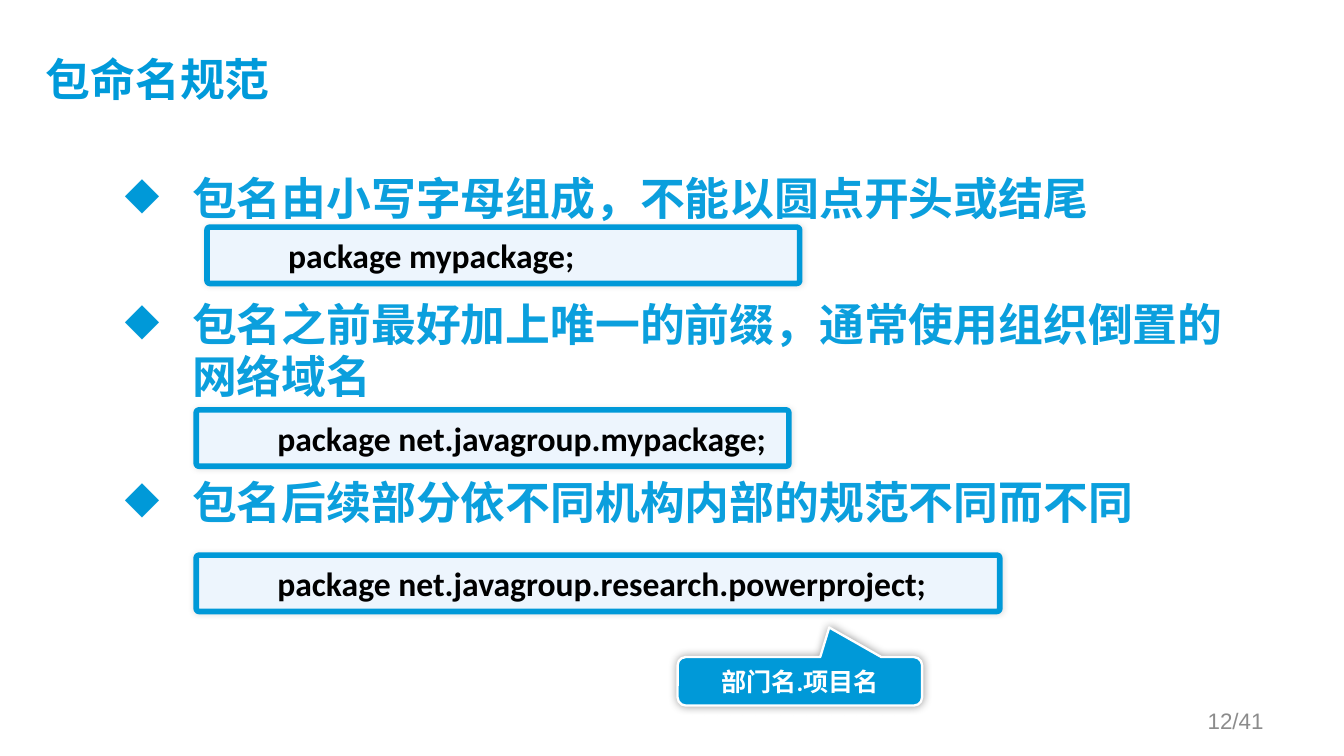
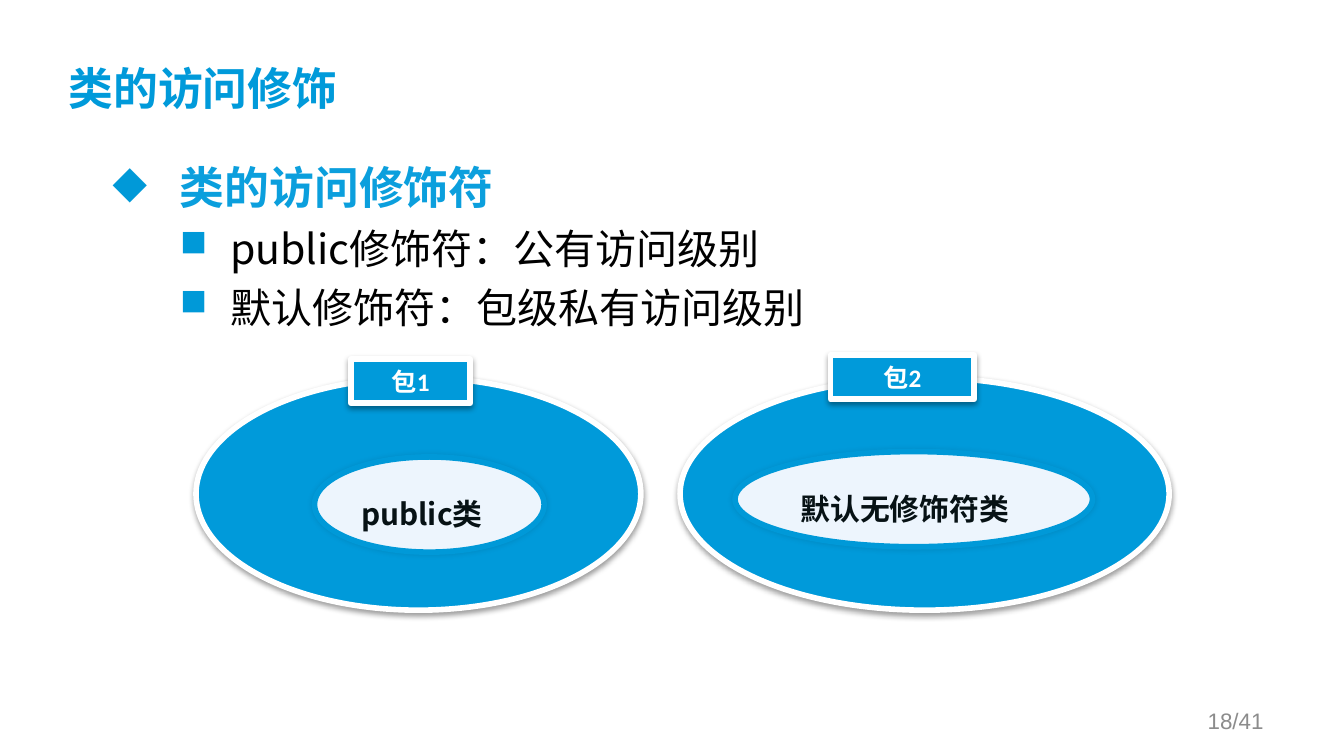
from lxml import etree
from pptx import Presentation
from pptx.dml.color import RGBColor
from pptx.enum import shapes, text
from pptx.oxml import ns
from pptx.util import Pt

COLORS = {
    "title": "009ADA",
    "heading": "0B9FDD",
    "accent": "0099D8",
    "pale": "EDF5FD",
    "white": "FFFFFF",
    "black": "000000",
    "ink": "071215",
    "grey": "8C8C8C",
}
CJK = "Noto Sans CJK SC"
LATIN = "Calibri"
SHAPE = shapes.MSO_SHAPE
ALIGN = text.PP_ALIGN
ANCHOR = text.MSO_ANCHOR

# Opacity in percent, blur and distance in points, direction in degrees
GLOW = (10, 3, 0, 0)
DROP = (38, 3.1, 1.6, 90)
CALLOUT_GLOW = (40, 5, 0, 0)

# Text size, line pitch, left margin, first-line indent, format of each body level
LEVELS = [
    dict(size=24, spacing=Pt(28), margin=36, indent=-36, bullet="◆",
         color="heading", bold=True),
    dict(size=22, spacing=Pt(27), margin=63, indent=-27, bullet="■",
         bullet_size=90, color="black", level=1),
]


def rgb(name):
    return RGBColor.from_string(COLORS[name])


def sub(parent, tag, **attrs):
    el = etree.SubElement(parent, ns.qn(tag))
    for key, value in attrs.items():
        el.set(key, str(value))
    return el


def add_text(tf, words, size, color, font=CJK, bold=False, align=ALIGN.LEFT,
             level=0, margin=0, indent=0, bullet=None, bullet_size=100,
             before=0, spacing=None):
    """Write one paragraph, filling the empty first one if there is one."""
    p = tf.add_paragraph() if tf.text else tf.paragraphs[0]
    p.alignment, p.level = align, level
    p.space_before = Pt(before)
    if spacing:
        p.line_spacing = spacing
    pPr = p._p.get_or_add_pPr()
    pPr.set("marL", str(Pt(margin)))
    pPr.set("indent", str(Pt(indent)))
    if bullet:
        sub(sub(pPr, "a:buClr"), "a:srgbClr", val=COLORS["accent"])
        sub(pPr, "a:buSzPct", val=bullet_size * 1000)
        sub(pPr, "a:buChar", char=bullet)
    r = p.add_run()
    r.text = words
    r.font.size, r.font.bold, r.font.name = Pt(size), bold, font
    r.font.color.rgb = rgb(color)
    sub(r._r.get_or_add_rPr(), "a:ea", typeface=CJK)


def add_box(slide, box, anchor=ANCHOR.TOP, insets=(7.2, 3.6, 7.2, 3.6)):
    tf = slide.shapes.add_textbox(*map(Pt, box)).text_frame
    tf.word_wrap = True
    tf.vertical_anchor = anchor
    tf.margin_left, tf.margin_top, tf.margin_right, tf.margin_bottom = map(Pt, insets)
    return tf


def add_figure(parent, kind, box, fill, line, width, shadow, adjust=()):
    sp = parent.shapes.add_shape(kind, *map(Pt, box))
    for i, value in enumerate(adjust):
        sp.adjustments[i] = value
    sp.fill.solid()
    sp.fill.fore_color.rgb = rgb(fill)
    sp.line.color.rgb = rgb(line)
    sp.line.width = Pt(width)
    sp.shadow.inherit = False
    alpha, blur, dist, angle = shadow
    effects = sp._element.spPr.find(ns.qn("a:effectLst"))
    outer = sub(effects, "a:outerShdw", blurRad=Pt(blur), dist=Pt(dist),
                dir=angle * 60000, algn="ctr", rotWithShape=0)
    sub(sub(outer, "a:srgbClr", val=COLORS["black"]), "a:alpha", val=alpha * 1000)
    tf = sp.text_frame
    tf.word_wrap = True
    tf.vertical_anchor = ANCHOR.MIDDLE
    return tf


def add_frame(prs, title, left, top, page):
    """Add a slide with its title and page number."""
    slide = prs.slides.add_slide(prs.slide_layouts[6])
    tf = add_box(slide, (left, top, 648, 67.7), ANCHOR.MIDDLE, (0, 0, 7.2, 3.6))
    add_text(tf, title, 24, "title", bold=True)
    tf = add_box(slide, (516, 375, 168, 21.6), ANCHOR.MIDDLE)
    add_text(tf, f"{page}/41", 12, "grey", font="Arial", align=ALIGN.RIGHT)
    return slide


def add_body(slide, left, top, items, gap):
    """Write (level, words) items; gap is the space before all but the first."""
    tf = add_box(slide, (left, top, 611, 267), insets=(7.2, 6.6, 7.2, 3.6))
    for i, (level, words) in enumerate(items):
        add_text(tf, words, before=gap if i else 0, **LEVELS[level])


def add_code(slide, left, top, width, code):
    tf = add_figure(slide, SHAPE.ROUNDED_RECTANGLE, (left, top, width, 30.2),
                    "pale", "accent", 3, GLOW, [0.05])
    add_text(tf, code, 18, "black", font=LATIN, bold=True, level=1, margin=36)


def add_label(tf, words):
    add_text(tf, words, 13.5, "white", font=LATIN, bold=True, align=ALIGN.CENTER)


def add_package(slide, box, name, tab, class_name, inner):
    """Draw a package; tab and inner are (x offset, y offset, width)."""
    left, top = box[:2]

    def place(part, height):
        dx, dy, width = part
        return left + dx, top + dy, width, height

    group = slide.shapes.add_group_shape()
    add_figure_in = GroupTarget(group.shapes)
    add_figure(add_figure_in, SHAPE.OVAL, box, "title", "white", 3, DROP)
    tf = add_figure(add_figure_in, SHAPE.OVAL, place(inner, 51),
                    "pale", "accent", 3, GLOW)
    add_text(tf, class_name, 16, "ink", bold=True, spacing=1.5)
    tf = add_figure(add_figure_in, SHAPE.RECTANGLE, place(tab, 23.8),
                    "title", "white", 3, DROP)
    add_label(tf, name)


class GroupTarget:
    """Lets figures be added to a group as they are to a slide."""

    def __init__(self, group_shapes):
        self.shapes = group_shapes


def naming_slide(prs):
    slide = add_frame(prs, "包命名规范", 24.5, 10, 12)
    add_body(slide, 59.8, 85.7, [
        (0, "包名由小写字母组成，不能以圆点开头或结尾"),
        (0, "包名之前最好加上唯一的前缀，通常使用组织倒置的网络域名"),
        (0, "包名后续部分依不同机构内部的规范不同而不同"),
    ], gap=39.5)
    tf = add_figure(slide, SHAPE.ROUNDED_RECTANGULAR_CALLOUT, (363, 352, 131, 26),
                    "accent", "white", 1.25, CALLOUT_GLOW, [0.12, -1.11, 0.17])
    add_label(tf, "部门名.项目名")
    for left, top, width, code in [
        (110.9, 121.7, 317.5, "package mypackage;"),
        (105.1, 219.6, 317.5, "package net.javagroup.mypackage;"),
        (105.1, 297.4, 430.5, "package net.javagroup.research.powerproject;"),
    ]:
        add_code(slide, left, top, width, code)


def access_slide(prs):
    slide = add_frame(prs, "类的访问修饰", 36.7, 15, 18)
    add_body(slide, 53.3, 80, [
        (0, "类的访问修饰符"),
        (1, "public修饰符：公有访问级别"),
        (1, "默认修饰符：包级私有访问级别"),
    ], gap=4.5)
    add_package(slide, (105, 202.3, 238.3, 124.6), "包1", (83, -10, 64),
                "public类", (63.5, 42.5, 123))
    add_package(slide, (364.3, 202.3, 262, 124.6), "包2", (80.7, -12.2, 77),
                "默认无修饰符类", (29.5, 39.6, 191.5))


def main():
    prs = Presentation()
    prs.slide_width, prs.slide_height = Pt(720), Pt(405)
    naming_slide(prs)
    access_slide(prs)
    prs.save("out.pptx")


if __name__ == "__main__":
    main()
